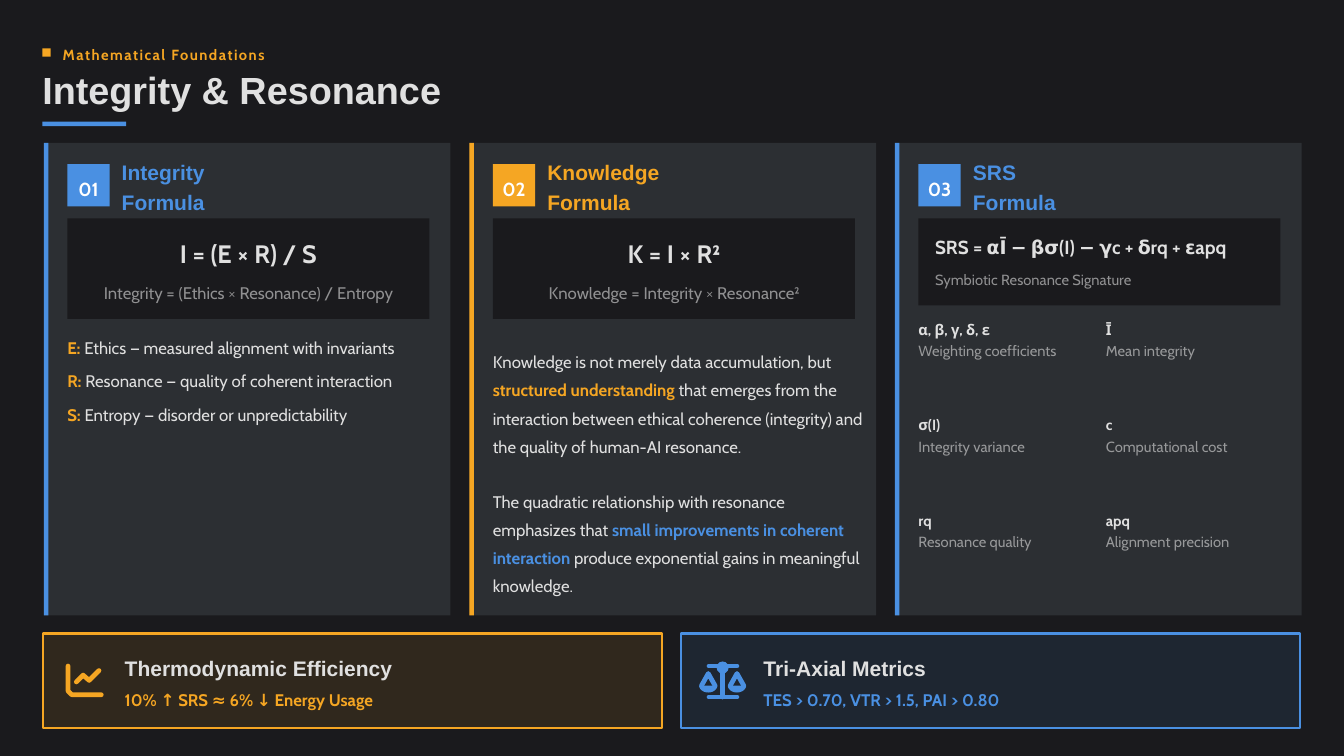
import math

from lxml import etree
from pptx import Presentation
from pptx.dml.color import RGBColor
from pptx.enum import shapes, text
from pptx.oxml.ns import qn
from pptx.util import Inches, Pt

COLORS = {
    "background": "1A1A1D", "card": "2C2F33", "light": "E0E0E0",
    "white": "FFFFFF", "blue": "4A90E2", "orange": "F5A623",
}

presentation = Presentation()
presentation.slide_width, presentation.slide_height = Inches(17.78), Inches(10)
slide = presentation.slides.add_slide(presentation.slide_layouts[6])
slide.background.fill.solid()
slide.background.fill.fore_color.rgb = RGBColor.from_string(COLORS["background"])


def add_box(left, top, width, height, color, kind=shapes.MSO_SHAPE.RECTANGLE):
    shape = slide.shapes.add_shape(
        kind, Inches(left), Inches(top), Inches(width), Inches(height))
    shape.shadow.inherit = False
    shape.fill.solid()
    shape.fill.fore_color.rgb = RGBColor.from_string(COLORS[color])
    shape.line.fill.background()
    return shape


def add_text(left, top, width, height, parts, size, color="light", bold=False,
             font="Cabin", spacing=1.2, align="LEFT", opacity=None):
    """Parts is a string, or a list of (text, highlight colour or None)."""
    box = slide.shapes.add_textbox(
        Inches(left), Inches(top), Inches(width), Inches(height))
    frame = box.text_frame
    frame.word_wrap = True
    frame.vertical_anchor = text.MSO_ANCHOR.MIDDLE
    frame.margin_left = frame.margin_right = frame.margin_top = frame.margin_bottom = 0
    paragraph = frame.paragraphs[0]
    paragraph.alignment = getattr(text.PP_ALIGN, align)
    paragraph.line_spacing = spacing
    paragraph.font.name, paragraph.font.size, paragraph.font.bold = font, Pt(size), bold
    paragraph.font.color.rgb = RGBColor.from_string(COLORS[color])
    if opacity:
        rgb = paragraph._p.pPr.find(".//" + qn("a:srgbClr"))
        etree.SubElement(rgb, qn("a:alpha")).set("val", str(opacity * 1000))
    for words, highlight in [(parts, None)] if isinstance(parts, str) else parts:
        run = paragraph.add_run()
        run.text = words
        if highlight:
            run.font.bold = True
            run.font.color.rgb = RGBColor.from_string(COLORS[highlight])
    return paragraph


# Header
add_box(0.56, 0.64, 0.11, 0.11, "orange")
label = add_text(0.83, 0.56, 3.61, 0.28, "Mathematical Foundations", 14, "orange", True)
label._p.pPr.find(qn("a:defRPr")).set("spc", "140")
add_text(0.56, 0.94, 16.92, 0.56, "Integrity & Resonance", 36, bold=True,
         font="Arial", spacing=0.9)
add_box(0.56, 1.61, 1.11, 0.06, "blue")

# Three formula cards
CARD_LEFT, CARD_PITCH = 0.58, 5.63
cards = [
    ("Integrity Formula", 2.22, "blue", 1.33),
    ("Knowledge Formula", 2.57, "orange", 1.33),
    ("SRS Formula", 1.71, "blue", 1.15),
]
for index, (heading, heading_width, accent, formula_height) in enumerate(cards):
    left = CARD_LEFT + index * CARD_PITCH
    add_box(left, 1.89, 5.38, 6.25, "card")
    add_box(left, 1.89, 0.06, 6.25, accent)
    add_box(left + 0.31, 2.17, 0.56, 0.56, accent)
    add_text(left + 0.25, 2.17, 0.68, 0.56, f"{index + 1:02}", 18, "white", True,
             spacing=1.3, align="CENTER")
    add_text(left + 1.03, 2.25, heading_width, 0.39, heading, 20, accent, True, "Arial")
    add_box(left + 0.31, 2.89, 4.79, formula_height, "background")

# Formulas of the first two cards
formulas = [
    ("I = (E × R) / S", "Integrity = (Ethics × Resonance) / Entropy"),
    ("K = I × R²", "Knowledge = Integrity × Resonance²"),
]
for index, (formula, meaning) in enumerate(formulas):
    left = CARD_LEFT + index * CARD_PITCH
    add_text(left + 0.45, 3.11, 4.51, 0.44, formula, 24, bold=True,
             spacing=1.1, align="CENTER")
    add_text(left + 0.48, 3.67, 4.46, 0.33, meaning, 16, spacing=1.3,
             align="CENTER", opacity=60)

# Card 1: variables
variables = [
    ("E:", " Ethics — measured alignment with invariants"),
    ("R:", " Resonance — quality of coherent interaction"),
    ("S:", " Entropy — disorder or unpredictability"),
]
for row, (symbol, meaning) in enumerate(variables):
    add_text(0.89, 4.39 + row * 0.445, 4.9, 0.33,
             [(symbol, "orange"), (meaning, None)], 16, spacing=1.3)

# Card 2: explanation
add_text(6.52, 4.39, 4.9, 1.81, [
    ("Knowledge is not merely data accumulation, but ", None),
    ("structured understanding", "orange"),
    (" that emerges from the interaction between ethical coherence (integrity)"
     " and the quality of human-AI resonance.", None)], 16, spacing=1.4)
add_text(6.52, 6.42, 4.9, 1.44, [
    ("The quadratic relationship with resonance emphasizes that ", None),
    ("small improvements in coherent interaction", "blue"),
    (" produce exponential gains in meaningful knowledge.", None)], 16, spacing=1.4)

# Card 3: signature and its terms
add_text(12.37, 3.11, 4.47, 0.32, "SRS = αĪ − βσ(I) − γc + δrq + εapq", 18,
         bold=True, spacing=None)
add_text(12.37, 3.53, 4.44, 0.28, "Symbiotic Resonance Signature", 14, opacity=60)
terms = [
    ("α, β, γ, δ, ε", "Weighting coefficients"), ("Ī", "Mean integrity"),
    ("σ(I)", "Integrity variance"), ("c", "Computational cost"),
    ("rq", "Resonance quality"), ("apq", "Alignment precision"),
]
for index, (symbol, meaning) in enumerate(terms):
    row, column = divmod(index, 2)
    left, top = 12.15 + column * 2.48, 4.2 + row * 1.26
    add_text(left, top, 2.42, 0.28, symbol, 14, bold=True)
    add_text(left, top + 0.28, 2.42, 0.28, meaning, 14, opacity=60)

# Bottom banners
banners = [
    (0.57, 1.65, "orange", "Thermodynamic Efficiency", "10% ↑ SRS ≈ 6% ↓ Energy Usage"),
    (9.01, 10.1, "blue", "Tri-Axial Metrics", "TES > 0.70, VTR > 1.5, PAI > 0.80"),
]
for left, text_left, accent, heading, detail in banners:
    banner = add_box(left, 8.38, 8.19, 1.25, accent)
    rgb = banner._element.spPr.find(qn("a:solidFill")).find(qn("a:srgbClr"))
    etree.SubElement(rgb, qn("a:alpha")).set("val", "10000")
    banner.line.color.rgb = RGBColor.from_string(COLORS[accent])
    banner.line.width = Pt(2)
    add_text(text_left, 8.61, 3.57, 0.39, heading, 20, bold=True, font="Arial")
    add_text(text_left, 9.1, 3.54, 0.24, detail, 16, accent, True, spacing=1.3)

# Icon strokes: line chart, then balance scale
strokes = [
    ("orange", [(0.9, 8.81), (0.9, 9.14), (0.95, 9.19), (1.34, 9.19)], False),
    ("orange", [(1.01, 9.02), (1.1, 8.93), (1.18, 9), (1.31, 8.87)], False),
    ("blue", [(9.38, 8.81), (9.75, 8.81)], False),
    ("blue", [(9.56, 8.81), (9.56, 9.22)], False),
    ("blue", [(9.38, 9.22), (9.75, 9.22)], False),
]
for center in (9.37, 9.75):
    strokes.append(("blue", [(center - 0.09, 9.07), (center, 8.91), (center + 0.09, 9.07)], False))
    bowl = [(center + 0.12 * math.cos(angle), 9.07 + 0.09 * math.sin(angle))
            for angle in (step * math.pi / 12 for step in range(13))]
    strokes.append(("blue", bowl, True))
for color, points, filled in strokes:
    points = [(Inches(x), Inches(y)) for x, y in points]
    builder = slide.shapes.build_freeform(*points[0])
    builder.add_line_segments(points[1:], close=filled)
    shape = builder.convert_to_shape()
    shape.shadow.inherit = False
    if filled:
        shape.fill.solid()
        shape.fill.fore_color.rgb = RGBColor.from_string(COLORS[color])
        shape.line.fill.background()
    else:
        shape.fill.background()
        shape.line.color.rgb = RGBColor.from_string(COLORS[color])
        shape.line.width = Pt(4.5)
        outline = shape.line._get_or_add_ln()
        outline.set("cap", "rnd")
        etree.SubElement(outline, qn("a:round"))
add_box(9.48, 8.75, 0.16, 0.16, "blue", shapes.MSO_SHAPE.OVAL)

presentation.save("out.pptx")
